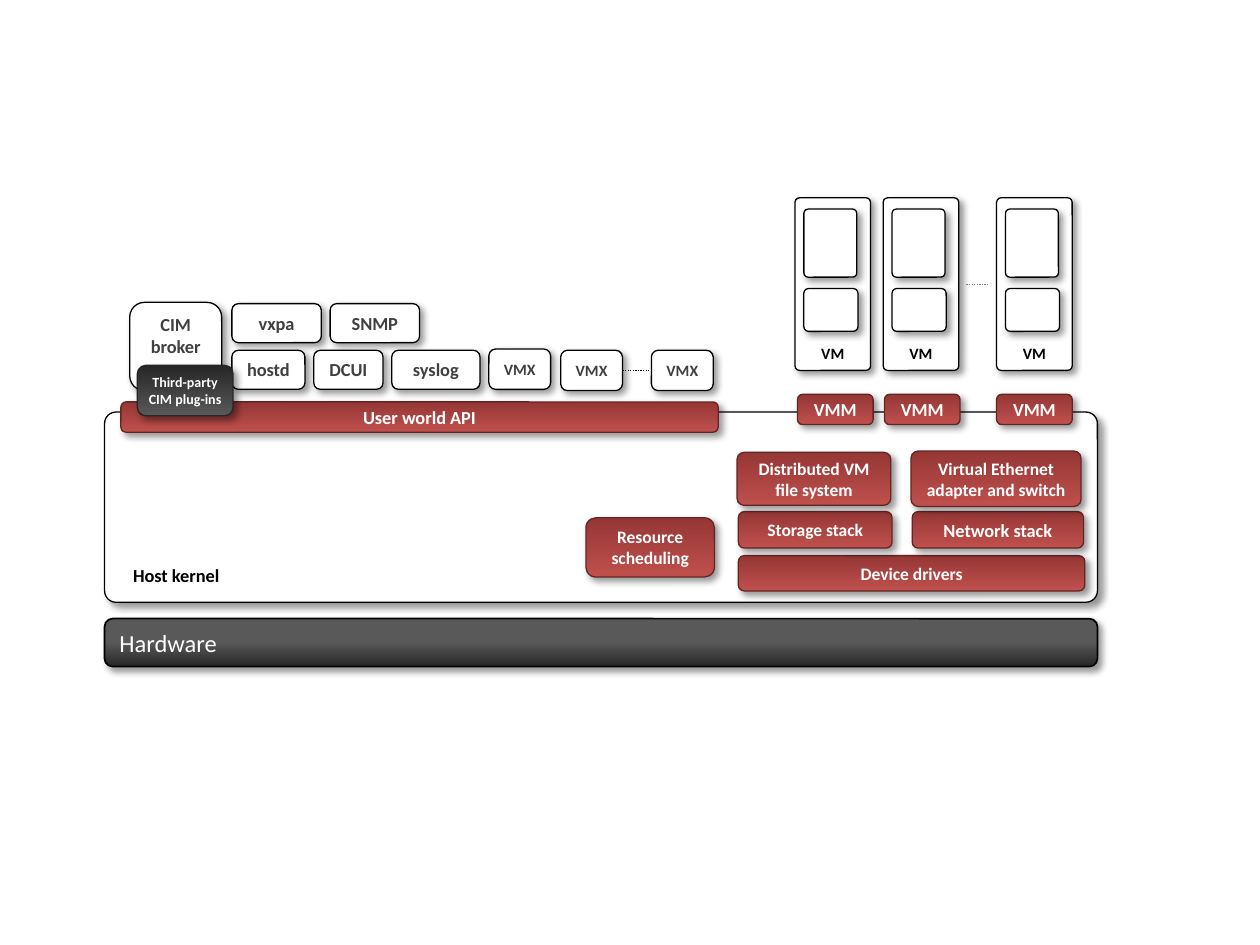
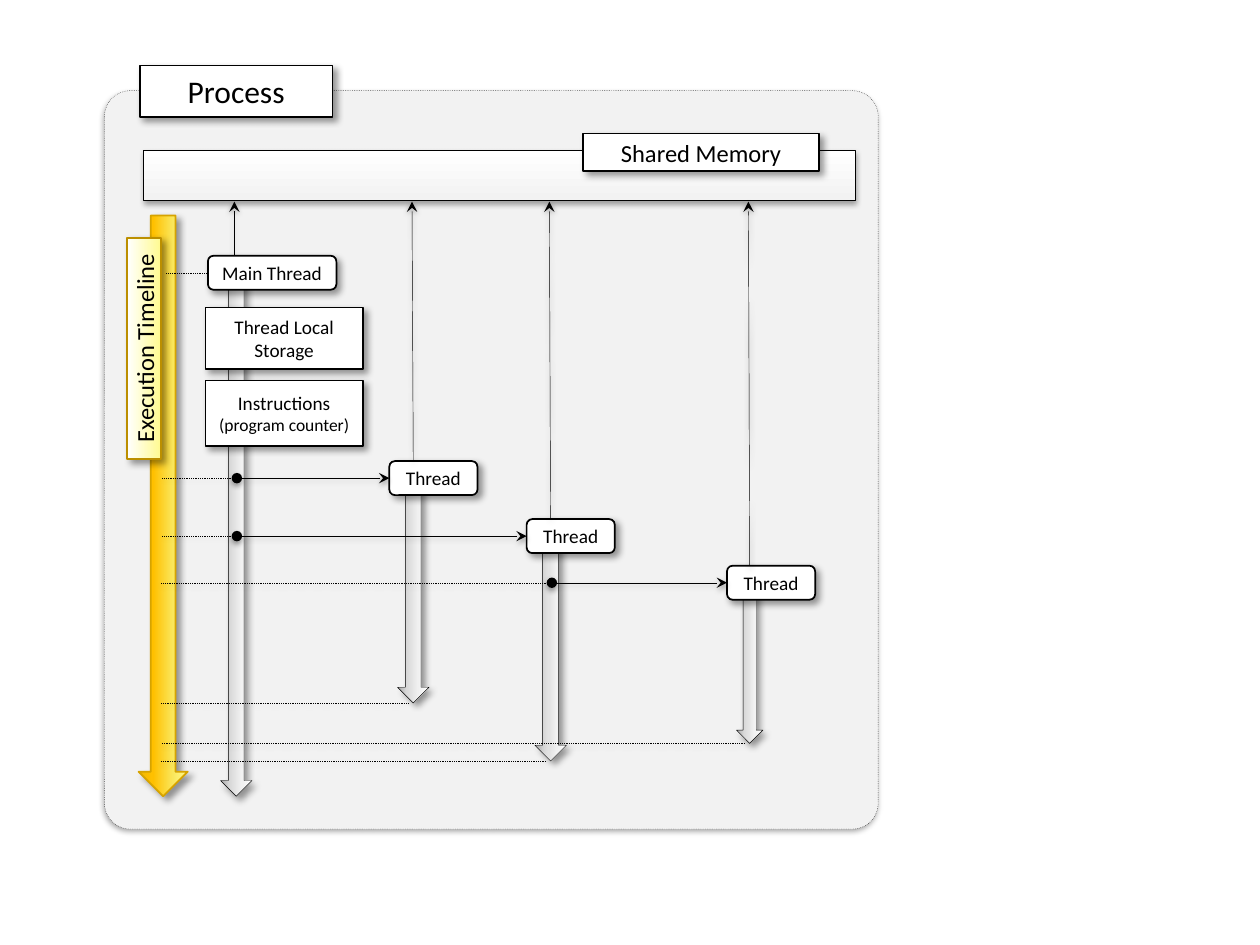
from dataclasses import dataclass

from lxml import etree
from pptx import Presentation
from pptx.dml.color import RGBColor
from pptx.enum.shapes import MSO_CONNECTOR, MSO_SHAPE
from pptx.enum.text import MSO_ANCHOR, PP_ALIGN
from pptx.oxml.ns import qn
from pptx.util import Inches, Pt

ROUNDED = MSO_SHAPE.ROUNDED_RECTANGLE
RECTANGLE = MSO_SHAPE.RECTANGLE
DOWN_ARROW = MSO_SHAPE.DOWN_ARROW
STRAIGHT = MSO_CONNECTOR.STRAIGHT
TOP, MIDDLE, BOTTOM = MSO_ANCHOR.TOP, MSO_ANCHOR.MIDDLE, MSO_ANCHOR.BOTTOM
LEFT, CENTER = PP_ALIGN.LEFT, PP_ALIGN.CENTER


@dataclass(frozen=True)
class Theme:
    """Colours, gradients, shadows and type sizes shared by the slides."""
    font: str = "Calibri"
    black: str = "000000"
    white: str = "FFFFFF"
    charcoal: str = "404040"
    gray: str = "808080"
    panel: str = "F2F2F2"
    dark: str = "262626"
    maroon: str = "632523"
    amber: str = "D6A300"
    ochre: str = "BC8F00"
    red_blend: tuple = (90, (0, "953735"), (100, "BF504D"))
    hardware_blend: tuple = (90, (50, "595959"), (100, "262626"))
    plugin_blend: tuple = (90, (0, "262626"), (100, "595959"))
    memory_blend: tuple = (90, (0, "FFFFFF"), (100, "F2F2F2"))
    label_blend: tuple = (90, (0, "FFFFFF"), (100, "FFFA8F"))
    timeline_blend: tuple = (0, (0, "F2B800"), (30, "FFC000"),
                             (70, "FAE75C"), (100, "FFFA8F"))
    thread_blend: tuple = (0, (0, "A6A6A6"), (30, "D9D9D9"),
                           (70, "F2F2F2"), (100, "FFFFFF"))
    box_shadow: tuple = (40, 4, 3, 45)
    panel_shadow: tuple = (35, 3.1, 1.8, 90)
    line_shadow: tuple = (38, 3.1, 1.6, 90)
    tiny: float = 8
    small: float = 9
    body: float = 10
    label: float = 10.5
    thread: float = 11
    heading: float = 14
    title: float = 18


THEME = Theme()


def add_child(parent, tag, **attributes):
    """Append a drawing element with the given attributes."""
    child = etree.SubElement(parent, qn(tag))
    for name, value in attributes.items():
        child.set(name, str(value))
    return child


def add_shadow(effects, shadow):
    """Put an outer shadow into an effect list."""
    opacity, blur, distance, angle = shadow
    outer = add_child(effects, "a:outerShdw", blurRad=Pt(blur), dist=Pt(distance),
                      dir=angle * 60000, algn="tl", rotWithShape=0)
    color = add_child(outer, "a:srgbClr", val=THEME.black)
    add_child(color, "a:alpha", val=opacity * 1000)


def paint(shape, fill):
    """Fill a shape with a colour or with an angle and gradient stops."""
    if isinstance(fill, str):
        shape.fill.solid()
        shape.fill.fore_color.rgb = RGBColor.from_string(fill)
        return
    angle, *stops = fill
    shape.fill.gradient()
    shape.fill.gradient_angle = (360 - angle) % 360
    stop_list = shape._element.spPr.find(".//" + qn("a:gsLst"))
    for stop in list(stop_list):
        stop_list.remove(stop)
    for position, color in stops:
        stop = add_child(stop_list, "a:gs", pos=position * 1000)
        add_child(stop, "a:srgbClr", val=color)


def style_line(line, color, width, dash=None):
    """Set the colour, width and dash of a line."""
    line.color.rgb = RGBColor.from_string(color)
    line.width = Pt(width)
    if dash:
        add_child(line._get_or_add_ln(), "a:prstDash", val=dash)


def add_box(slide, kind, at, fill, line=THEME.black, width=0.75, dash=None,
            shadow=THEME.box_shadow, corner=None):
    """Draw a filled, outlined and shadowed shape."""
    shape = slide.shapes.add_shape(kind, *map(Inches, at))
    paint(shape, fill)
    style_line(shape.line, line, width, dash)
    shape.shadow.inherit = False
    add_shadow(shape._element.spPr.find(qn("a:effectLst")), shadow)
    if corner is not None:
        shape.adjustments[0] = corner
    return shape


def add_text(shape, lines, size, color=THEME.black, bold=False, anchor=MIDDLE,
             align=CENTER, insets=(0.1, 0.05, 0.1, 0.05)):
    """Write lines into a shape; a line may be a (text, size) pair."""
    frame = shape.text_frame
    frame.word_wrap = True
    frame.vertical_anchor = anchor
    (frame.margin_left, frame.margin_top,
     frame.margin_right, frame.margin_bottom) = map(Inches, insets)
    for index, line in enumerate(lines):
        text, line_size = line if isinstance(line, tuple) else (line, size)
        paragraph = frame.add_paragraph() if index else frame.paragraphs[0]
        paragraph.alignment = align
        run = paragraph.add_run()
        run.text = text
        run.font.name = THEME.font
        run.font.size = Pt(line_size)
        run.font.bold = bold
        run.font.color.rgb = RGBColor.from_string(color)


def add_line(slide, start, end, color=THEME.black, width=0.25, dash=None,
             head=None, tail=None, shadow=THEME.line_shadow):
    """Draw a straight connector with optional ends."""
    connector = slide.shapes.add_connector(STRAIGHT, *map(Inches, (*start, *end)))
    style_line(connector.line, color, width, dash)
    outline = connector.line._get_or_add_ln()
    for tag, ending in (("a:headEnd", head), ("a:tailEnd", tail)):
        if ending:
            add_child(outline, tag, type=ending)
    effects = add_child(connector._element.spPr, "a:effectLst")
    if shadow:
        add_shadow(effects, shadow)


def add_service(slide, name, at, size=THEME.label, anchor=TOP):
    """Draw a white user-world service."""
    add_text(add_box(slide, ROUNDED, at, THEME.white), [name], size,
             THEME.charcoal, True, anchor)


def add_kernel_part(slide, lines, at, size=THEME.body, corner=None):
    """Draw a red kernel component."""
    shape = add_box(slide, ROUNDED, at, THEME.red_blend, THEME.maroon, corner=corner)
    add_text(shape, lines, size, THEME.white, True)


def add_virtual_machine(slide, left):
    """Draw a virtual machine with its two inner panes."""
    machine = add_box(slide, ROUNDED, (left, 1.57, 0.6, 1.37), THEME.white, corner=0.06)
    add_text(machine, ["VM"], THEME.small, bold=True, anchor=BOTTOM)
    for top, width, height, corner in ((2.29, 0.43, 0.34, 0.11), (1.66, 0.42, 0.54, 0.08)):
        add_box(slide, ROUNDED, (left + 0.07, top, width, height), THEME.white,
                corner=corner)


def add_note(slide, kind, lines, at, size=THEME.thread):
    """Draw a white labelled box of the process diagram."""
    shape = add_box(slide, kind, at, THEME.white, width=1)
    add_text(shape, lines, size, insets=(0, 0.05, 0, 0.05))


def add_lifeline(slide, center, top, bottom, width):
    """Draw the gray arrow along which a thread runs."""
    add_box(slide, DOWN_ARROW, (center - width / 2, top, width, bottom - top),
            THEME.thread_blend, width=0.25)


def add_timeline_mark(slide, x, y):
    """Tie a moment in a thread to the timeline."""
    add_line(slide, (x, y), (1.28, y), dash="dot")


def add_thread(slide, left, top, center, bottom, width, spawn_x):
    """Draw a spawned thread with its lifeline and links."""
    middle = top + 0.135
    add_lifeline(slide, center, middle + 0.03, bottom, width)
    add_note(slide, ROUNDED, ["Thread"], (left, top, 0.7, 0.27))
    add_line(slide, (spawn_x, middle), (left, middle), head="oval", tail="stealth")
    add_timeline_mark(slide, spawn_x - 0.02, middle)
    add_timeline_mark(slide, center - 0.04, bottom)
    add_line(slide, (center, top), (center - 0.01, 1.6), tail="stealth")


def build_hypervisor_slide(slide):
    """Draw the hypervisor architecture."""
    hardware = add_box(slide, ROUNDED, (0.83, 4.91, 7.88, 0.38),
                       THEME.hardware_blend, width=1)
    add_text(hardware, ["Hardware"], THEME.heading, THEME.white, align=LEFT)
    kernel = add_box(slide, ROUNDED, (0.83, 3.27, 7.88, 1.51), THEME.white, corner=0.06)
    add_text(kernel, ["Host kernel"], THEME.label, bold=True, anchor=BOTTOM, align=LEFT,
             insets=(0.2, 0.05, 0.1, 0.1))

    for name, left, top, width, height in (
            ("CIM broker", 1.03, 2.4, 0.73, 0.7),
            ("vxpa", 1.84, 2.41, 0.71, 0.31), ("SNMP", 2.62, 2.41, 0.71, 0.31),
            ("hostd", 1.84, 2.78, 0.58, 0.31), ("DCUI", 2.49, 2.78, 0.55, 0.31),
            ("syslog", 3.11, 2.78, 0.7, 0.31)):
        add_service(slide, name, (left, top, width, height))
    for left, top in ((3.88, 2.77), (4.45, 2.78), (5.17, 2.78)):
        add_service(slide, "VMX", (left, top, 0.49, 0.32), THEME.small, MIDDLE)
    add_line(slide, (4.94, 2.94), (5.17, 2.94), width=0.75, dash="sysDot", shadow=None)

    for lines, at, size, corner in (
            (["User world API"], (0.96, 3.19, 4.74, 0.24), THEME.label, None),
            (["Resource", "scheduling"], (4.65, 4.11, 1.02, 0.47), THEME.body, None),
            (["Device drivers"], (5.86, 4.41, 2.75, 0.28), THEME.body, None),
            (["Storage stack"], (5.86, 4.06, 1.22, 0.29), THEME.body, None),
            (["Network stack"], (7.24, 4.06, 1.36, 0.29), THEME.label, None),
            (["Distributed VM file system"], (5.85, 3.59, 1.22, 0.42), THEME.body, 0.13),
            (["Virtual Ethernet adapter and switch"], (7.23, 3.58, 1.35, 0.44),
             THEME.body, 0.13)):
        add_kernel_part(slide, lines, at, size, corner)

    for machine_left, monitor_left in ((6.31, 6.33), (7.01, 7.02), (7.91, 7.91)):
        add_virtual_machine(slide, machine_left)
        add_kernel_part(slide, ["VMM"], (monitor_left, 3.13, 0.6, 0.24), THEME.label)
    add_line(slide, (7.67, 2.26), (7.85, 2.26), THEME.gray, 0.75, "sysDot", shadow=None)

    plugins = add_box(slide, ROUNDED, (1.09, 2.9, 0.76, 0.4), THEME.plugin_blend,
                      THEME.dark)
    add_text(plugins, ["Third-party CIM plug-ins"], THEME.tiny, THEME.white, True, TOP,
             insets=(0, 0.05, 0, 0.05))


def build_process_slide(slide):
    """Draw the threads of a process along a timeline."""
    add_box(slide, ROUNDED, (0.83, 0.72, 6.14, 5.86), THEME.panel, width=0.25,
            dash="dot", shadow=THEME.panel_shadow, corner=0.035)
    add_box(slide, RECTANGLE, (1.14, 1.19, 5.65, 0.4), THEME.memory_blend, width=0.25,
            shadow=THEME.panel_shadow)
    add_box(slide, DOWN_ARROW, (1.1, 1.71, 0.39, 4.61), THEME.timeline_blend,
            THEME.amber, 1)
    timeline = add_box(slide, RECTANGLE, (0.27, 2.63, 1.75, 0.27), THEME.label_blend,
                       THEME.ochre, 1)
    timeline.rotation = 270
    add_text(timeline, ["Execution Timeline"], THEME.heading, insets=(0, 0.05, 0, 0.05))

    add_lifeline(slide, 1.875, 2.21, 6.32, 0.25)
    add_note(slide, RECTANGLE, ["Thread Local Storage"], (1.63, 2.44, 1.25, 0.49))
    add_note(slide, RECTANGLE, ["Instructions", ("(program counter)", THEME.body)],
             (1.63, 3.02, 1.25, 0.52))
    add_line(slide, (1.86, 2.04), (1.86, 1.6), tail="stealth")
    add_line(slide, (1.92, 2.17), (1.32, 2.17), dash="dot")
    add_note(slide, ROUNDED, ["Main Thread"], (1.65, 2.03, 1.02, 0.27))

    for left, top, center, bottom, width, spawn_x in (
            (3.09, 3.66, 3.28, 5.58, 0.25, 1.88),
            (4.18, 4.12, 4.37, 6.04, 0.25, 1.88),
            (5.77, 4.49, 5.95, 5.9, 0.21, 4.38)):
        add_thread(slide, left, top, center, bottom, width, spawn_x)

    add_note(slide, RECTANGLE, ["Process"], (1.11, 0.52, 1.53, 0.41), THEME.title)
    add_note(slide, RECTANGLE, ["Shared Memory"], (4.63, 1.06, 1.87, 0.3), THEME.heading)


def main():
    """Build and save the presentation."""
    presentation = Presentation()
    presentation.slide_width, presentation.slide_height = Inches(10), Inches(7.5)
    blank = presentation.slide_layouts[6]
    for build in (build_hypervisor_slide, build_process_slide):
        build(presentation.slides.add_slide(blank))
    presentation.save("out.pptx")


if __name__ == "__main__":
    main()
